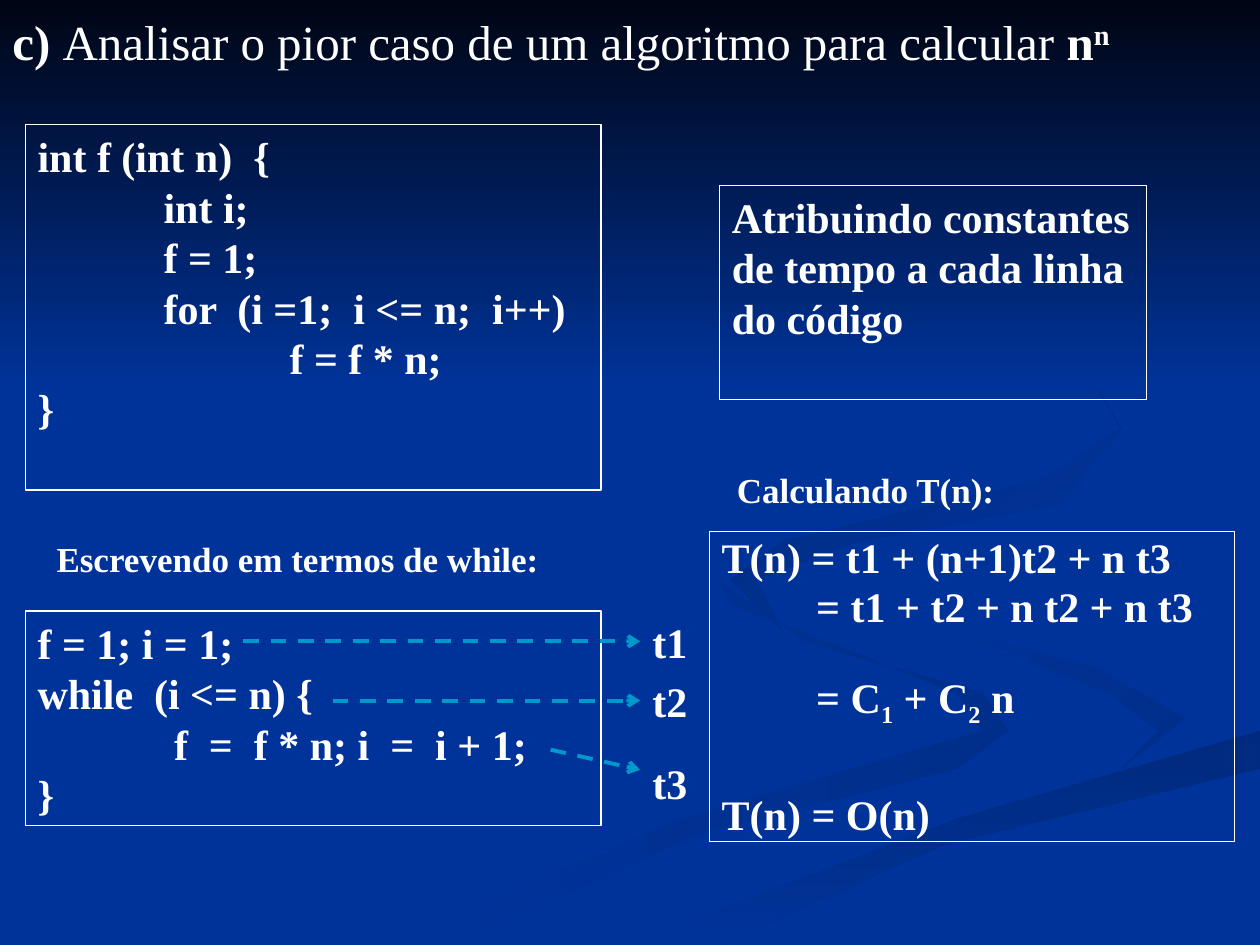
from pptx import Presentation
from pptx import util as u
from pptx.dml.color import RGBColor
from pptx.enum import dml, shapes, text
from pptx.oxml import ns
from lxml import etree

Inches, Pt = u.Inches, u.Pt
COLORS = {"blue": "003399", "night": "000514", "white": "FFFFFF", "arrow": "0098CC",
          "tail": "002E8B", "base": "002A7D", "top": "002B82"}
FONT = "Times New Roman"
BOLD = {"bold": True}
SUB, SUPER = -25000, 30000

# Ribbon outlines in inches: (start colour, end colour, clockwise angle, points)
RIBBONS = [
    ("blue", "tail", 0, [
        (7.8, 5.5), (6.4, 5.1), (5.7, 4.6), (5.8, 4.8), (7.6, 5.5), (7.8, 5.8),
        (5.4, 6.5), (3, 7.5), (3.6, 7.5), (5.6, 6.6), (7.6, 6.1), (8, 5.8)]),
    ("blue", "tail", 45, [
        (9.4, 5.7), (8.7, 5.3), (7.6, 5), (7.2, 4.6), (7.5, 5), (8.8, 5.5),
        (9.2, 5.8), (8.9, 6.1)]),
    ("base", "blue", 90, [
        (5, 7.5), (5.7, 7.5), (7.5, 6.7), (10, 6.1), (10, 5.8), (7.6, 6.5)]),
    ("top", "blue", 45, [
        (6.8, 4.3), (8.4, 4), (8.9, 3.4), (8.6, 2.9), (7.6, 2.3), (8.6, 2.9),
        (8.9, 3.4), (8.3, 3.8), (6.2, 4.3), (5.8, 4.6), (6.2, 5), (6, 4.6)]),
    ("night", "blue", 90, [(0, 0), (0, 3.08), (10, 3.08), (10, 0)]),
]


def rgb(name):
    return RGBColor.from_string(COLORS[name])


def add_background(slide, left, top):
    slide.background.fill.solid()
    slide.background.fill.fore_color.rgb = rgb("blue")
    for start, end, angle, points in RIBBONS:
        outline = [(Inches(left + x), Inches(top + y)) for x, y in points]
        builder = slide.shapes.build_freeform(*outline[0])
        builder.add_line_segments(outline[1:], close=True)
        sp = builder.convert_to_shape()
        sp.shadow.inherit = False
        sp.line.fill.background()
        sp.fill.gradient()
        sp.fill.gradient_angle = (360 - angle) % 360
        for stop, position, color in zip(sp.fill.gradient_stops, (0, 1), (start, end)):
            stop.position = position
            stop.color.rgb = rgb(color)


def add_tabs(p, stops):
    tabs = etree.SubElement(p._p.get_or_add_pPr(), ns.qn("a:tabLst"))
    for stop in stops:
        etree.SubElement(tabs, ns.qn("a:tab"), pos=str(Inches(stop)), algn="l")


def add_text(slide, box, paragraphs, size=24, framed=False, tabs=(), spacing=(), inset=0.05):
    """Fill a box; a paragraph is a string or a list of (text, font values, baseline)."""
    box = [Inches(v) for v in box]
    if framed:
        sp = slide.shapes.add_shape(shapes.MSO_SHAPE.RECTANGLE, *box)
        sp.shadow.inherit = False
        sp.fill.background()
        sp.line.color.rgb = rgb("white")
        sp.line.width = Pt(0.75)
    else:
        sp = slide.shapes.add_textbox(*box)
    tf = sp.text_frame
    frame = {"word_wrap": True, "vertical_anchor": text.MSO_ANCHOR.TOP,
             "margin_top": Inches(inset)}
    for name, value in frame.items():
        setattr(tf, name, value)
    for i, runs in enumerate(paragraphs):
        p = tf.add_paragraph() if i else tf.paragraphs[0]
        p.alignment = text.PP_ALIGN.LEFT
        if tabs:
            add_tabs(p, tabs)
        if spacing:
            for name, value in spacing[i].items():
                setattr(p, name, Pt(value))
        for content, values, baseline in [(runs, BOLD, 0)] if isinstance(runs, str) else runs:
            r = p.add_run()
            r.text = content
            for name, value in {"name": FONT, "size": Pt(size), **values}.items():
                setattr(r.font, name, value)
            r.font.color.rgb = rgb("white")
            if baseline:
                r._r.get_or_add_rPr().set("baseline", str(baseline))
    return sp


def add_arrow(slide, start, end, target=None):
    line = slide.shapes.add_connector(shapes.MSO_CONNECTOR.STRAIGHT,
                                      *[Inches(v) for v in (*start, *end)])
    if target is not None:
        line.end_connect(target, 1)
    line.line.color.rgb = rgb("arrow")
    line.line.width = Pt(2.25)
    line.line.dash_style = dml.MSO_LINE.DASH
    etree.SubElement(line.line._get_or_add_ln(), ns.qn("a:tailEnd"), type="arrow")
    etree.SubElement(line._element.spPr, ns.qn("a:effectLst"))


def add_title(slide, box):
    add_text(slide, box, [[
        ("c) ", BOLD, 0),
        ("Analisar o pior caso de um algoritmo para calcular ", {"bold": False}, 0),
        ("n", BOLD, 0), ("n", BOLD, SUPER)]], size=28, inset=0.09)


def add_for_code(slide, box):
    add_text(slide, box, ["int f (int n)  {", "\tint i;", "\tf = 1;",
                          "\tfor  (i =1;  i <= n;  i++)", "\t\tf = f * n;", "}"],
             framed=True, tabs=(1, 2))


def add_while_code(slide, left, top, width, height):
    """Heading, code frame and the time constant of each line."""
    add_text(slide, (left + 0.15, top - 0.63, 4.25, 0.77),
             ["Escrevendo em termos de while:"], size=20)
    add_text(slide, (left, top, width, height),
             ["f = 1; i = 1;", "while  (i <= n) {", "\t f  =  f * n; i  =  i + 1;", "}"],
             framed=True, tabs=(1, 2))
    label_x, label_h = left + 4.88, 0.5
    for name, y, start_x in (("t1", -0.01, 1.73), ("t2", 0.46, 2.44)):
        label = add_text(slide, (label_x, top + y, 0.7, label_h), [name])
        middle = top + y + label_h / 2
        add_arrow(slide, (left + start_x, middle), (label_x, middle), label)
    add_text(slide, (label_x, top + 1.11, 0.7, label_h), ["t3"])
    add_arrow(slide, (left + 4.17, top + 1.1), (label_x, top + 1.26))


def add_time_cost(slide, left, top, width, height):
    add_text(slide, (left, top, width, height), [
        "T(n) = t1 + (n+1)t2 + n t3",
        "\t= t1 + t2 + n t2 + n t3",
        [("\t= C", BOLD, 0), ("1", BOLD, SUB), (" + C", BOLD, 0), ("2", BOLD, SUB),
         (" n", BOLD, 0)],
        "T(n) = O(n)"], framed=True, tabs=(0.75,), spacing=[
            {"line_spacing": 25}, {"line_spacing": 25, "space_before": 3},
            {"line_spacing": 25, "space_before": 31}, {"space_before": 34}])
    add_text(slide, (left + 0.12, top - 0.55, 2.48, 0.77), ["Calculando T(n):"], size=20)


def main():
    prs = Presentation()
    prs.slide_width, prs.slide_height = Inches(10), Inches(7.5)
    s = prs.slides.add_slide(prs.slide_layouts[6])
    add_background(s, 0, 0)
    add_title(s, (0, 0, 10, 7.5))
    add_for_code(s, (0.2, 0.99, 4.57, 2.9))
    add_while_code(s, 0.2, 4.85, 4.57, 1.7)
    add_text(s, (5.71, 1.47, 3.39, 1.7),
             ["Atribuindo constantes de tempo a cada linha do código"], framed=True)
    add_time_cost(s, 5.63, 4.22, 4.17, 2.46)
    prs.save("out.pptx")


if __name__ == "__main__":
    main()
